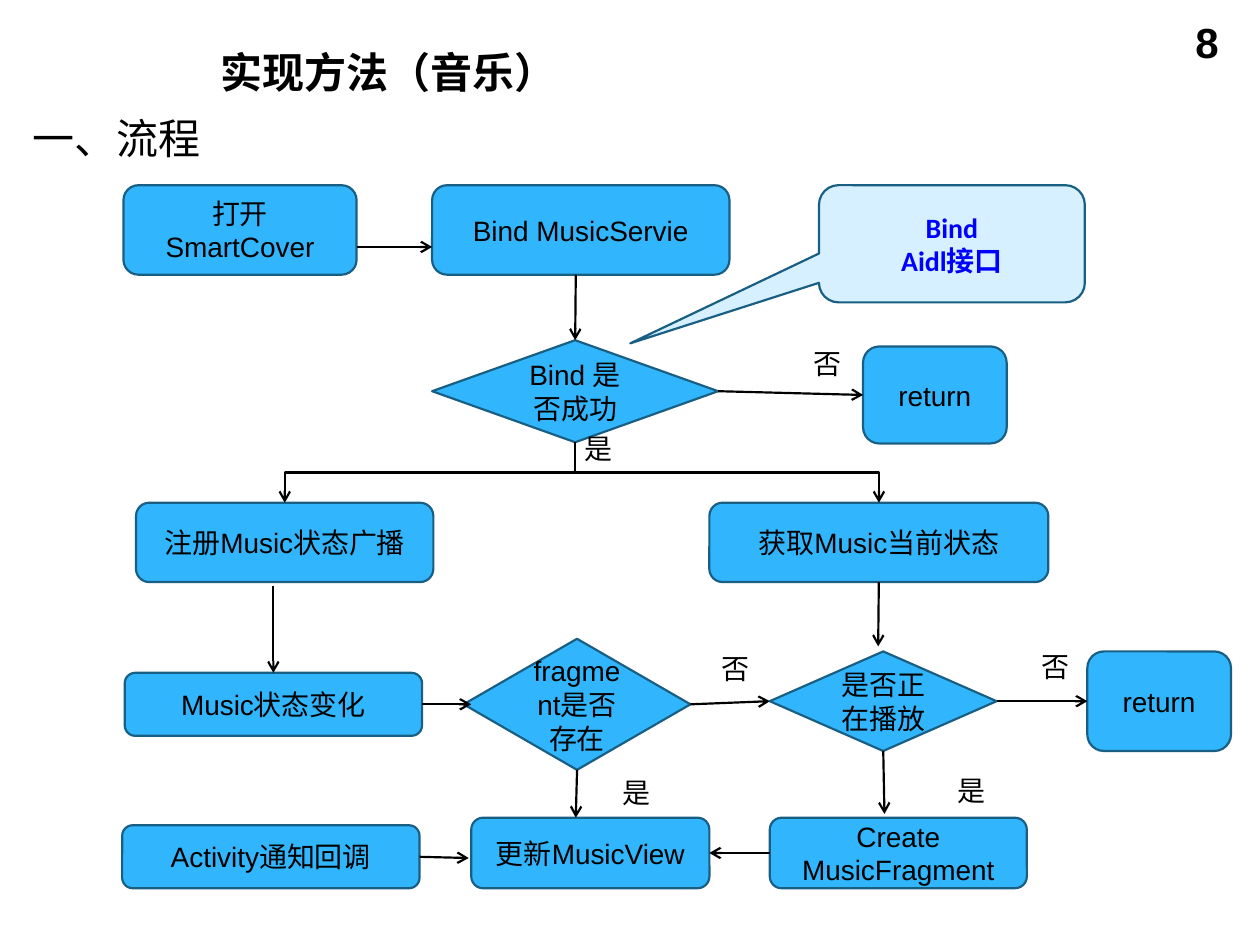
from pptx import Presentation
from pptx.dml.color import RGBColor
from pptx.enum.shapes import MSO_CONNECTOR as Link, MSO_SHAPE as Shape
from pptx.enum.text import MSO_ANCHOR as Anchor, PP_ALIGN as Align
from pptx.oxml.ns import qn
from pptx.util import Pt
from lxml.etree import SubElement

PX = 9144
BLACK = RGBColor(0x00, 0x00, 0x00)
BLUE = RGBColor(0x00, 0x00, 0xFF)
SKY = RGBColor(0x31, 0xB6, 0xFD)
PALE = RGBColor(0xD6, 0xF0, 0xFF)
EDGE = RGBColor(0x19, 0x5F, 0x84)
TOP, LEFT, BOTTOM, RIGHT = range(4)


class FlowSlide:
    def __init__(self, slide, font="Arial", size=16, stroke=1.25):
        self.shapes = slide.shapes
        self.font, self.size, self.stroke = font, size, stroke

    def set_words(self, frame, words, align, color=BLACK, font=None, size=None, bold=False):
        frame.word_wrap = True
        frame.text = words
        for line in frame.paragraphs:
            line.alignment = align
            line.font.name = font or self.font
            line.font.size = Pt(size or self.size)
            line.font.bold = bold
            line.font.color.rgb = color

    def text(self, words, x, y, w, h, align=Align.LEFT, anchor=Anchor.TOP, **style):
        box = self.shapes.add_textbox(x * PX, y * PX, w * PX, h * PX)
        box.text_frame.vertical_anchor = anchor
        self.set_words(box.text_frame, words, align, **style)

    def node(self, words, x, y, w, h, kind=Shape.ROUNDED_RECTANGLE, fill=SKY, **style):
        node = self.shapes.add_shape(kind, x * PX, y * PX, w * PX, h * PX)
        node.shadow.inherit = False
        node.fill.solid()
        node.fill.fore_color.rgb = fill
        node.line.color.rgb = EDGE
        node.line.width = Pt(self.stroke)
        node.text_frame.vertical_anchor = Anchor.MIDDLE
        self.set_words(node.text_frame, words, Align.CENTER, **style)
        return node

    def decision(self, words, x, y, w, h):
        return self.node(words, x, y, w, h, Shape.DIAMOND)

    def callout(self, words, x, y, w, h, tip, **style):
        bubble = self.node(words, x, y, w, h, Shape.ROUNDED_RECTANGULAR_CALLOUT, PALE, **style)
        bubble.adjustments[0], bubble.adjustments[1] = tip

    def arrow(self, start, end, kind=Link.STRAIGHT):
        arrow = self.shapes.add_connector(kind, 0, 0, 0, 0)
        if isinstance(start[0], int):
            arrow.begin_x, arrow.begin_y = (v * PX for v in start)
        else:
            arrow.begin_connect(*start)
        if isinstance(end[0], int):
            arrow.end_x, arrow.end_y = (v * PX for v in end)
        else:
            arrow.end_connect(*end)
        arrow.line.color.rgb = BLACK
        arrow.line.width = Pt(self.stroke)
        properties = arrow._element.spPr
        SubElement(properties.find(qn("a:ln")), qn("a:tailEnd"), type="arrow")
        SubElement(properties, qn("a:effectLst"))
        return arrow

    def branch(self, start, end):
        elbow = self.arrow(start, end, Link.ELBOW)
        leftward = elbow.end_x < elbow.begin_x
        x, y, w, h = elbow.left, elbow.top, elbow.width, elbow.height
        frame = elbow._element.spPr.find(qn("a:xfrm"))
        frame.attrib.clear()
        frame.set("rot", str((90 if leftward else 270) * 60000))
        if not leftward:
            frame.set("flipH", "1")
        elbow.left, elbow.top = x + (w - h) // 2, y + (h - w) // 2
        elbow.width, elbow.height = h, w


def main():
    deck = Presentation()
    deck.slide_width, deck.slide_height = 1000 * PX, 750 * PX
    flow = FlowSlide(deck.slides.add_slide(deck.slide_layouts[6]))

    flow.text("8", 744, 8, 233, 52, Align.RIGHT, size=24, bold=True)
    flow.text("实现方法（音乐）", 165, 30, 785, 54, anchor=Anchor.MIDDLE,
              font="Calibri", size=24, bold=True)
    flow.text("一、流程", 16, 84, 211, 50, font="Calibri", size=24)

    flow.node("打开SmartCover", 98, 147, 185, 71)
    flow.node("Bind MusicServie", 343, 147, 236, 71)
    flow.callout("Bind\nAidl接口", 650, 147, 211, 93, (-1.21, 0.85),
                 color=BLUE, font="Calibri", bold=True)
    bound = flow.decision("Bind 是否成功", 343, 270, 227, 81)
    bind_return = flow.node("return", 685, 275, 114, 77)

    register = flow.node("注册Music状态广播", 108, 399, 236, 63)
    current = flow.node("获取Music当前状态", 563, 399, 269, 63)
    changed = flow.node("Music状态变化", 99, 534, 236, 50)
    exists = flow.decision("fragment是否存在", 368, 507, 180, 104)
    playing = flow.decision("是否正在播放", 611, 517, 180, 79)
    play_return = flow.node("return", 863, 517, 114, 79)

    activity = flow.node("Activity通知回调", 97, 655, 236, 50)
    update = flow.node("更新MusicView", 374, 649, 189, 56)
    create = flow.node("Create MusicFragment", 611, 649, 204, 56)

    for start, end in [
        ((283, 196), (343, 196)),
        ((457, 218), (bound, TOP)),
        ((bound, RIGHT), (bind_return, LEFT)),
        ((217, 465), (changed, TOP)),
        ((current, BOTTOM), (697, 513)),
        ((changed, RIGHT), (374, 559)),
        ((exists, RIGHT), (playing, LEFT)),
        ((exists, BOTTOM), (457, 649)),
        ((playing, RIGHT), (play_return, LEFT)),
        ((playing, BOTTOM), (702, 646)),
        ((create, LEFT), (update, RIGHT)),
        ((activity, RIGHT), (372, 681)),
    ]:
        flow.arrow(start, end)
    for target in (register, current):
        flow.branch((bound, BOTTOM), (target, TOP))

    for answer, x, y in [("否", 636, 270), ("是", 454, 338), ("否", 563, 512),
                         ("否", 817, 511), ("是", 484, 611), ("是", 750, 609)]:
        flow.text(answer, x, y, 49, 37)

    deck.save("out.pptx")


if __name__ == "__main__":
    main()
